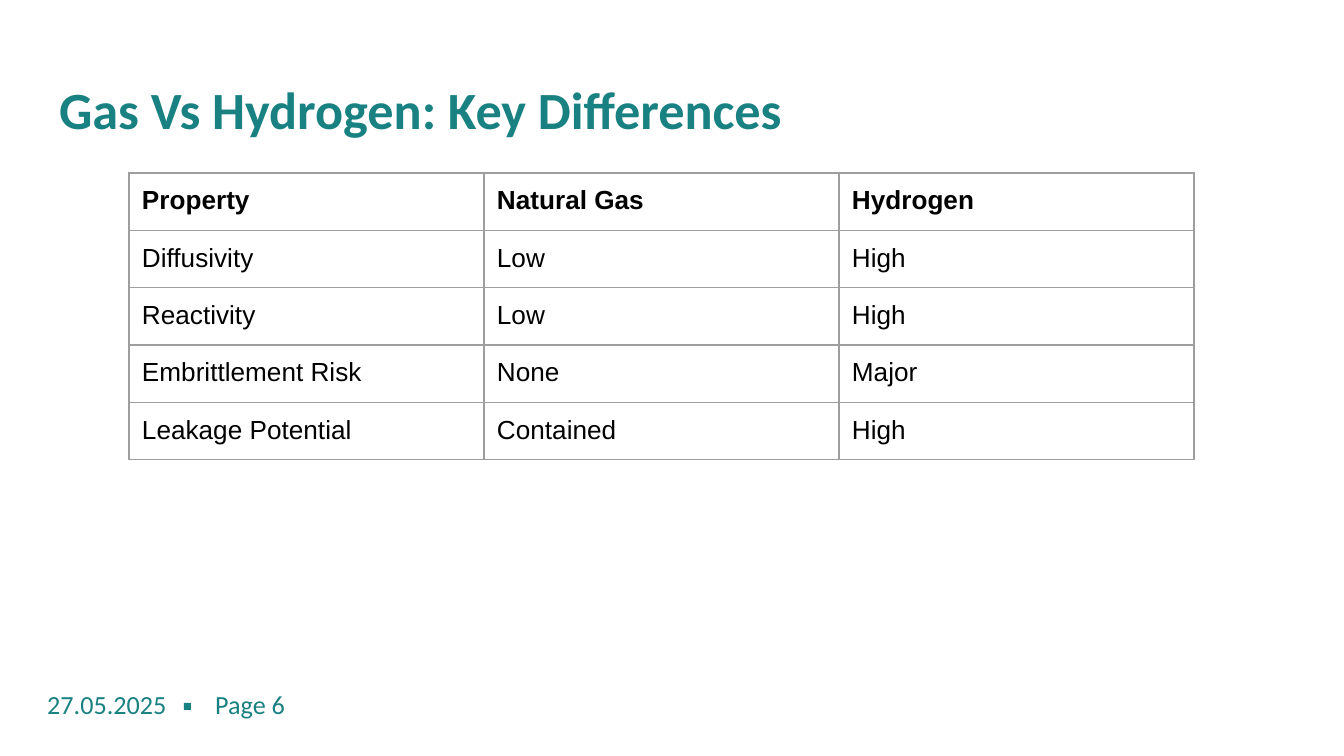
from lxml import etree
from pptx import Presentation
from pptx import util as u
from pptx.dml.color import RGBColor
from pptx.enum import shapes, text
from pptx.oxml.ns import qn

PX = 914400 / 134.4
COLORS = {"teal": "198181", "black": "000000", "grid": "9E9E9E"}
ROWS = [
    ("Property", "Natural Gas", "Hydrogen"),
    ("Diffusivity", "Low", "High"),
    ("Reactivity", "Low", "High"),
    ("Embrittlement Risk", "None", "Major"),
    ("Leakage Potential", "Contained", "High"),
]
COLUMN_WIDTH, ROW_HEIGHT = 355, 56


def px(*lengths):
    return [u.Emu(round(length * PX)) for length in lengths]


def style(paragraph, name, size, color, bold=False):
    font = paragraph.font
    font.name, font.size, font.bold = name, u.Pt(size), bold
    font.color.rgb = RGBColor.from_string(COLORS[color])


presentation = Presentation()
presentation.slide_width, presentation.slide_height = px(1344, 756)
slide = presentation.slides.add_slide(presentation.slide_layouts[6])

for words, box, size, bold, anchor, inset in [
    ("27.05.2025", (34, 679, 183, 48), 14, False, text.MSO_ANCHOR.BOTTOM, 7),
    ("Page 6", (202, 675, 863, 52), 14, False, text.MSO_ANCHOR.BOTTOM, 7),
    ("Gas Vs Hydrogen: Key Differences", (46, 66, 1253, 85), 28, True, text.MSO_ANCHOR.MIDDLE, 13),
]:
    frame = slide.shapes.add_textbox(*px(*box)).text_frame
    frame.word_wrap = True
    frame.vertical_anchor = anchor
    frame.margin_top, frame.margin_bottom = px(inset, inset)
    frame.text = words
    style(frame.paragraphs[0], "Calibri", size, "teal", bold)

separator = slide.shapes.add_shape(shapes.MSO_SHAPE.RECTANGLE, *px(184, 703, 7, 7))
separator.shadow.inherit = False
separator.fill.solid()
separator.fill.fore_color.rgb = RGBColor.from_string(COLORS["teal"])
separator.line.fill.background()

table = slide.shapes.add_table(
    len(ROWS), len(ROWS[0]),
    *px(129, 173, COLUMN_WIDTH * len(ROWS[0]), ROW_HEIGHT * len(ROWS)),
).table
table.first_row = table.horz_banding = False
for column in table.columns:
    column.width = px(COLUMN_WIDTH)[0]
for row in table.rows:
    row.height = px(ROW_HEIGHT)[0]

for row_index, values in enumerate(ROWS):
    for column_index, value in enumerate(values):
        cell = table.cell(row_index, column_index)
        cell.text = value
        cell.margin_left, cell.margin_right, cell.margin_top, cell.margin_bottom = px(13, 13, 13, 13)
        style(cell.text_frame.paragraphs[0], "Arial", 14, "black", row_index == 0)
        properties = cell._tc.get_or_add_tcPr()
        for side in ("lnL", "lnR", "lnT", "lnB"):
            border = etree.SubElement(properties, qn(f"a:{side}"), w=str(u.Pt(0.75)))
            fill = etree.SubElement(border, qn("a:solidFill"))
            etree.SubElement(fill, qn("a:srgbClr"), val=COLORS["grid"])
        cell.fill.background()

presentation.save("out.pptx")
